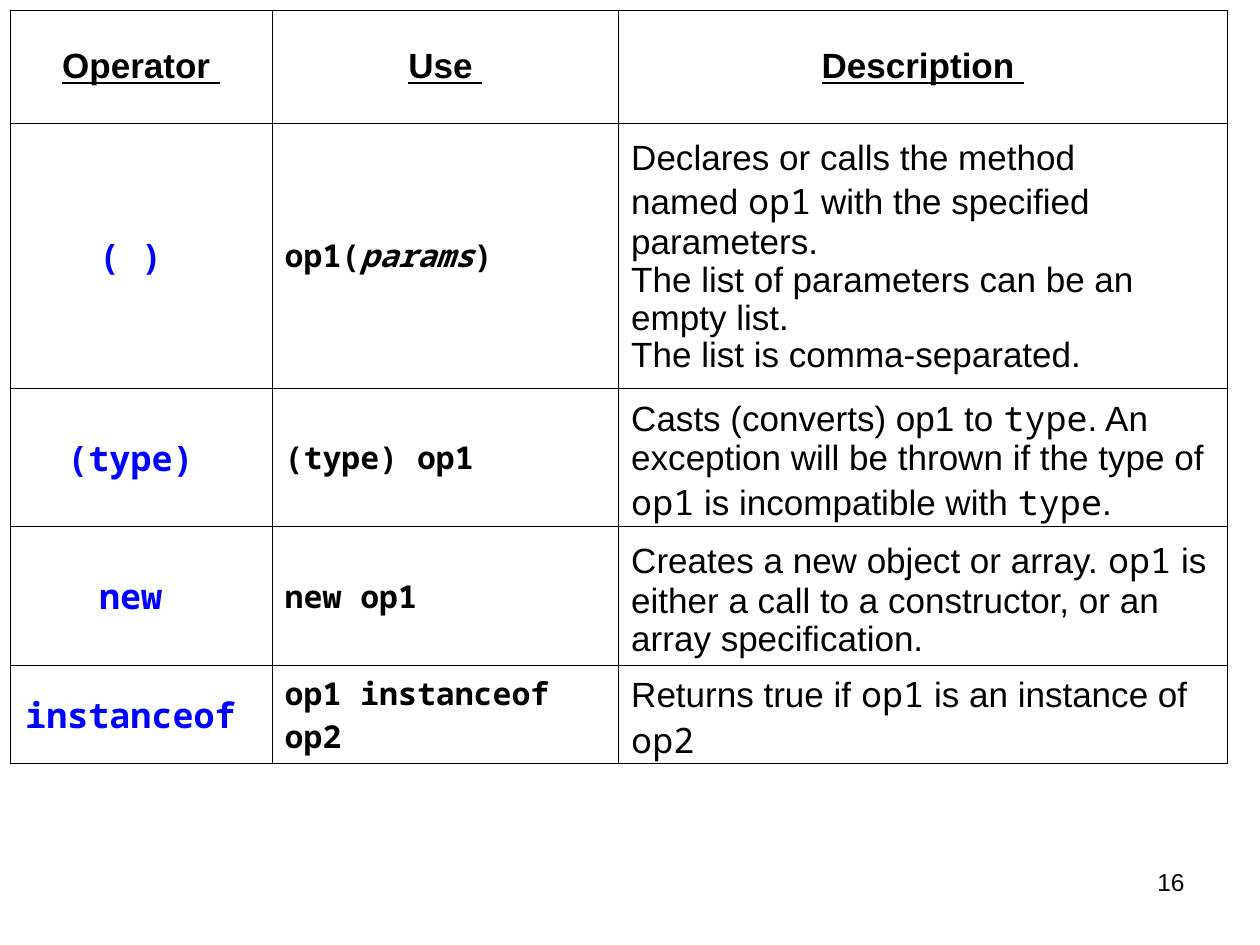
from lxml import etree
from pptx import Presentation
from pptx import util as u
from pptx.dml.color import RGBColor
from pptx.enum import text
from pptx.oxml import ns

COLORS = {"ink": "000000", "operator": "0000FF", "paper": "FFFFFF"}
SANS, MONO = "Arial", "Noto Sans Mono"
HEADINGS = ["Operator ", "Use ", "Description "]
OPERATORS = [
    ("( ) ", [("op1(", False), ("params", True), (")", False)],
     ["Declares or calls the method",
      "named `op1` with the specified parameters.",
      "The list of parameters can be an empty list.",
      "The list is comma-separated."]),
    ("(type) ", [("(type) op1", False)],
     ["Casts (converts) op1 to `type`. An exception will be thrown "
      "if the type of `op1` is incompatible with `type`."]),
    ("new ", [("new op1", False)],
     ["Creates a new object or array. `op1` is either a call to a "
      "constructor, or an array specification."]),
    ("instanceof ", [("op1 instanceof op2", False)],
     ["Returns true if `op1` is an instance of `op2`"]),
]
COL_WIDTHS = [2.08, 2.75, 4.83]
ROW_HEIGHTS = [0.9, 2.1, 1.1, 1.1, 0.77]


class Deck:
    def __init__(self, prs):
        self.s = prs.slides.add_slide(prs.slide_layouts[6])

    def run(self, p, words, font=SANS, size=20, color="ink", bold=False,
            italic=False, underline=False):
        r = p.add_run()
        r.text = words
        f = r.font
        f.name, f.size, f.bold = font, u.Pt(size), bold
        f.italic, f.underline = italic, underline
        f.color.rgb = RGBColor.from_string(COLORS[color])
        for tag in ("a:ea", "a:cs"):
            etree.SubElement(r._r.get_or_add_rPr(), ns.qn(tag), typeface=font)

    def table(self, left, top, widths, heights):
        tb = self.s.shapes.add_table(
            len(heights), len(widths), u.Inches(left), u.Inches(top),
            u.Inches(sum(widths)), u.Inches(sum(heights))).table
        tb.first_row = tb.horz_banding = False
        for col, width in zip(tb.columns, widths):
            col.width = u.Inches(width)
        for row, height in zip(tb.rows, heights):
            row.height = u.Inches(height)
        for cell in tb.iter_cells():
            self.cell_style(cell)
        return tb

    def cell_style(self, cell):
        cell.vertical_anchor = text.MSO_ANCHOR.MIDDLE
        cell.margin_left = cell.margin_right = u.Inches(0.1)
        cell.margin_top = cell.margin_bottom = u.Inches(0.05)
        tcPr = cell._tc.get_or_add_tcPr()
        for side in ("a:lnL", "a:lnR", "a:lnT", "a:lnB"):
            ln = etree.SubElement(tcPr, ns.qn(side), w=str(u.Pt(0.34)))
            fill = etree.SubElement(ln, ns.qn("a:solidFill"))
            etree.SubElement(fill, ns.qn("a:srgbClr"), val=COLORS["ink"])
        cell.fill.solid()
        cell.fill.fore_color.rgb = RGBColor.from_string(COLORS["paper"])

    def centered(self, cell, words, **style):
        p = cell.text_frame.paragraphs[0]
        p.alignment = text.PP_ALIGN.CENTER
        self.run(p, words, bold=True, **style)

    def usage(self, cell, parts):
        for words, italic in parts:
            self.run(cell.text_frame.paragraphs[0], words, font=MONO,
                     size=18, bold=True, italic=italic)

    def description(self, cell, lines):
        cell.margin_top, cell.margin_bottom = u.Inches(0.03), 0
        tf = cell.text_frame
        for i, line in enumerate(lines):
            p = tf.add_paragraph() if i else tf.paragraphs[0]
            p.line_spacing = 0.97
            for j, words in enumerate(line.split("`")):
                if words:
                    self.run(p, words, font=MONO if j % 2 else SANS)

    def page_number(self, number):
        sp = self.s.shapes.add_textbox(u.Inches(7.17), u.Inches(6.83),
                                       u.Inches(2.33), u.Inches(0.52))
        sp.text_frame.word_wrap = True
        p = sp.text_frame.paragraphs[0]
        p.alignment = text.PP_ALIGN.RIGHT
        self.run(p, number, size=14)


def main():
    prs = Presentation()
    prs.slide_width, prs.slide_height = u.Inches(10), u.Inches(7.5)
    deck = Deck(prs)
    tb = deck.table(0.08, 0.08, COL_WIDTHS, ROW_HEIGHTS)
    for col, heading in enumerate(HEADINGS):
        deck.centered(tb.cell(0, col), heading, underline=True)
    for row, (operator, use, lines) in enumerate(OPERATORS, 1):
        deck.centered(tb.cell(row, 0), operator, font=MONO, color="operator")
        deck.usage(tb.cell(row, 1), use)
        deck.description(tb.cell(row, 2), lines)
    deck.page_number("16")
    prs.save("out.pptx")


if __name__ == "__main__":
    main()
